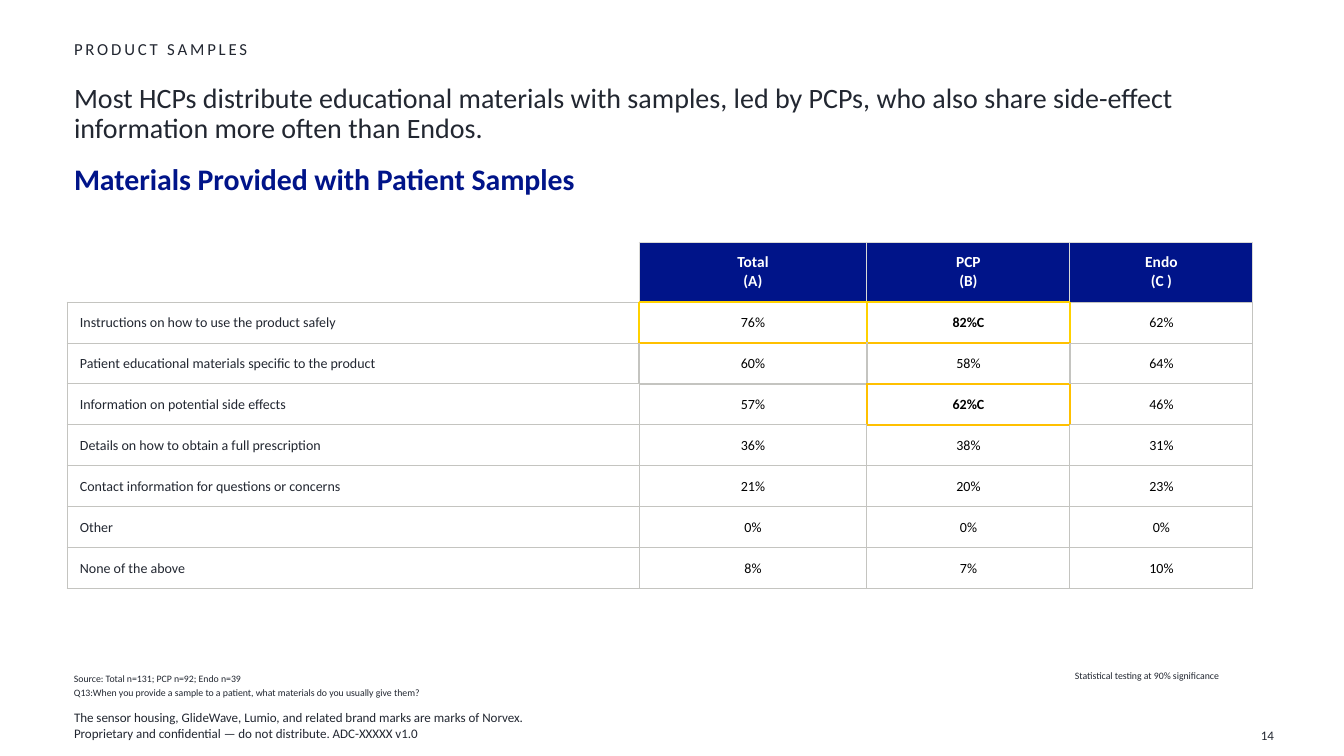
import lxml.etree
import pptx
import pptx.dml.color
import pptx.enum.text
import pptx.oxml.ns
import pptx.util

EMU_PER_PX = 914400 / 100.8
COLORS = {
    "ink": "222731", "navy": "001489", "white": "FFFFFF", "black": "000000",
    "grid": "C4C4C0", "pale": "D9D9D6", "yellow": "FFD100", "amber": "FFC000",
}
ALIGN = pptx.enum.text.PP_ALIGN
ANCHOR = pptx.enum.text.MSO_ANCHOR

COLUMN_WIDTHS = [572, 228, 203, 183]
HEADER_HEIGHT, ROW_HEIGHT = 60, 41
MATERIALS = [
    ["", "Total\n(A)", "PCP\n(B)", "Endo\n(C )"],
    ["Instructions on how to use the product safely", "76%", "82%C", "62%"],
    ["Patient educational materials specific to the product", "60%", "58%", "64%"],
    ["Information on potential side effects", "57%", "62%C", "46%"],
    ["Details on how to obtain a full prescription", "36%", "38%", "31%"],
    ["Contact information for questions or concerns", "21%", "20%", "23%"],
    ["Other", "0%", "0%", "0%"],
    ["None of the above", "8%", "7%", "10%"],
]
# Each side: row step, column step and side of the neighbouring cell
SIDES = {"L": (0, -1, "R"), "R": (0, 1, "L"), "T": (-1, 0, "B"), "B": (1, 0, "T")}


def px(length):
    return round(length * EMU_PER_PX)


def rgb(name):
    return pptx.dml.color.RGBColor.from_string(COLORS[name])


def apply_format(target, values):
    for attribute, value in values.items():
        setattr(target, attribute, value)


def format_paragraph(paragraph, size, color="ink", bold=False, tracking=0, **layout):
    apply_format(paragraph, layout)
    for run in paragraph.runs:
        apply_format(run.font, {"name": "Calibri", "size": pptx.util.Pt(size), "bold": bold})
        run.font.color.rgb = rgb(color)
        if tracking:
            run.font._element.set("spc", str(tracking * 100))


def add_text(slide, box, text, size, insets=(0, 0, 10, 5), anchor=ANCHOR.TOP,
             wrap=True, gap=0, **style):
    frame = slide.shapes.add_textbox(*map(px, box)).text_frame
    left, top, right, bottom = map(px, insets)
    apply_format(frame, {
        "margin_left": left, "margin_top": top, "margin_right": right,
        "margin_bottom": bottom, "vertical_anchor": anchor, "word_wrap": wrap,
    })
    frame.text = text
    for index, paragraph in enumerate(frame.paragraphs):
        format_paragraph(paragraph, size, **style)
        if index and gap:
            paragraph.space_before = pptx.util.Pt(gap)


def plan_borders():
    """Map (row, column, side) to a colour and a width in points."""
    borders = {}

    def outline(row, column, color, width, sides="LRTB"):
        for side in sides:
            row_step, column_step, opposite = SIDES[side]
            borders[row, column, side] = (color, width)
            borders[row + row_step, column + column_step, opposite] = (color, width)

    for column in range(1, 4):
        outline(0, column, "pale", 0.75)
    for row in range(1, len(MATERIALS)):
        for column in range(4):
            outline(row, column, "grid", 0.75)
    for column in (1, 2):
        outline(2, column, "grid", 1)
    # Highlighted results
    for column in (1, 2):
        outline(1, column, "yellow", 1.5, "LRT")
        outline(1, column, "amber", 1, "B")
    outline(3, 2, "amber", 1)
    return borders


def draw_borders(cell, row, column, borders):
    properties = cell._tc.get_or_add_tcPr()
    present = [side for side in SIDES if (row, column, side) in borders]
    for index, side in enumerate(present):
        color, width = borders[row, column, side]
        line = lxml.etree.Element(pptx.oxml.ns.qn(f"a:ln{side}"),
                                  w=str(pptx.util.Pt(width)))
        fill = lxml.etree.SubElement(line, pptx.oxml.ns.qn("a:solidFill"))
        lxml.etree.SubElement(fill, pptx.oxml.ns.qn("a:srgbClr"), val=COLORS[color])
        properties.insert(index, line)


def fill_cell(cell, row, column, text):
    is_header = row == 0 and column > 0
    is_value = row > 0 and column > 0
    side, top, bottom = (1, 1, 0) if is_value else (13, 5, 5)
    apply_format(cell, {
        "text": text, "vertical_anchor": ANCHOR.MIDDLE,
        "margin_left": px(side), "margin_right": px(side),
        "margin_top": px(top), "margin_bottom": px(bottom),
    })
    if is_header:
        cell.fill.solid()
        cell.fill.fore_color.rgb = rgb("navy")
        style = {"size": 11, "color": "white", "bold": True}
    else:
        cell.fill.background()
        style = {"size": 10, "color": "black" if is_value else "ink",
                 "bold": text.endswith("%C")}
    for paragraph in cell.text_frame.paragraphs:
        format_paragraph(paragraph, alignment=ALIGN.CENTER if column else ALIGN.LEFT, **style)


def add_materials_table(slide, left, top):
    height = HEADER_HEIGHT + ROW_HEIGHT * (len(MATERIALS) - 1)
    table = slide.shapes.add_table(
        len(MATERIALS), len(COLUMN_WIDTHS),
        px(left), px(top), px(sum(COLUMN_WIDTHS)), px(height)).table
    apply_format(table, {"first_row": False, "horz_banding": False})
    for column, width in zip(table.columns, COLUMN_WIDTHS):
        column.width = px(width)
    borders = plan_borders()
    for row, texts in enumerate(MATERIALS):
        table.rows[row].height = px(ROW_HEIGHT if row else HEADER_HEIGHT)
        for column, text in enumerate(texts):
            cell = table.cell(row, column)
            fill_cell(cell, row, column, text)
            draw_borders(cell, row, column, borders)


def main():
    deck = pptx.Presentation()
    apply_format(deck, {"slide_width": px(1344), "slide_height": px(756)})
    slide = deck.slides.add_slide(deck.slide_layouts[6])

    # Headings
    add_text(slide, (74, 39, 770, 38), "PRODUCT SAMPLES", 12, tracking=2)
    add_text(slide, (74, 84, 1196, 57),
             "Most HCPs distribute educational materials with samples, led by PCPs, "
             "who also share side-effect information more often than Endos.",
             20, line_spacing=0.9)
    add_text(slide, (74, 161, 1196, 40), "Materials Provided with Patient Samples",
             21.3, color="navy", bold=True)

    # Results
    add_materials_table(slide, 67, 242)

    # Notes on the data
    add_text(slide, (74, 672, 738, 26),
             "Source: Total n=131; PCP n=92; Endo n=39\n"
             "Q13:When you provide a sample to a patient, "
             "what materials do you usually give them?",
             7, insets=(0, 0, 0, 0), anchor=ANCHOR.BOTTOM, gap=1.4)
    add_text(slide, (1065, 665, 165, 22), "Statistical testing at 90% significance",
             7, insets=(10, 5, 10, 5), wrap=False)

    # Footer
    add_text(slide, (74, 700, 560, 41),
             "The sensor housing, GlideWave, Lumio, and related brand marks are marks of Norvex.\n"
             "Proprietary and confidential — do not distribute. ADC-XXXXX v1.0",
             9.3, insets=(0, 0, 0, 0), anchor=ANCHOR.BOTTOM)
    add_text(slide, (1223, 708, 61, 40), "14", 9.3, insets=(0, 5, 10, 5),
             anchor=ANCHOR.BOTTOM, alignment=ALIGN.RIGHT)

    deck.save("out.pptx")


if __name__ == "__main__":
    main()
